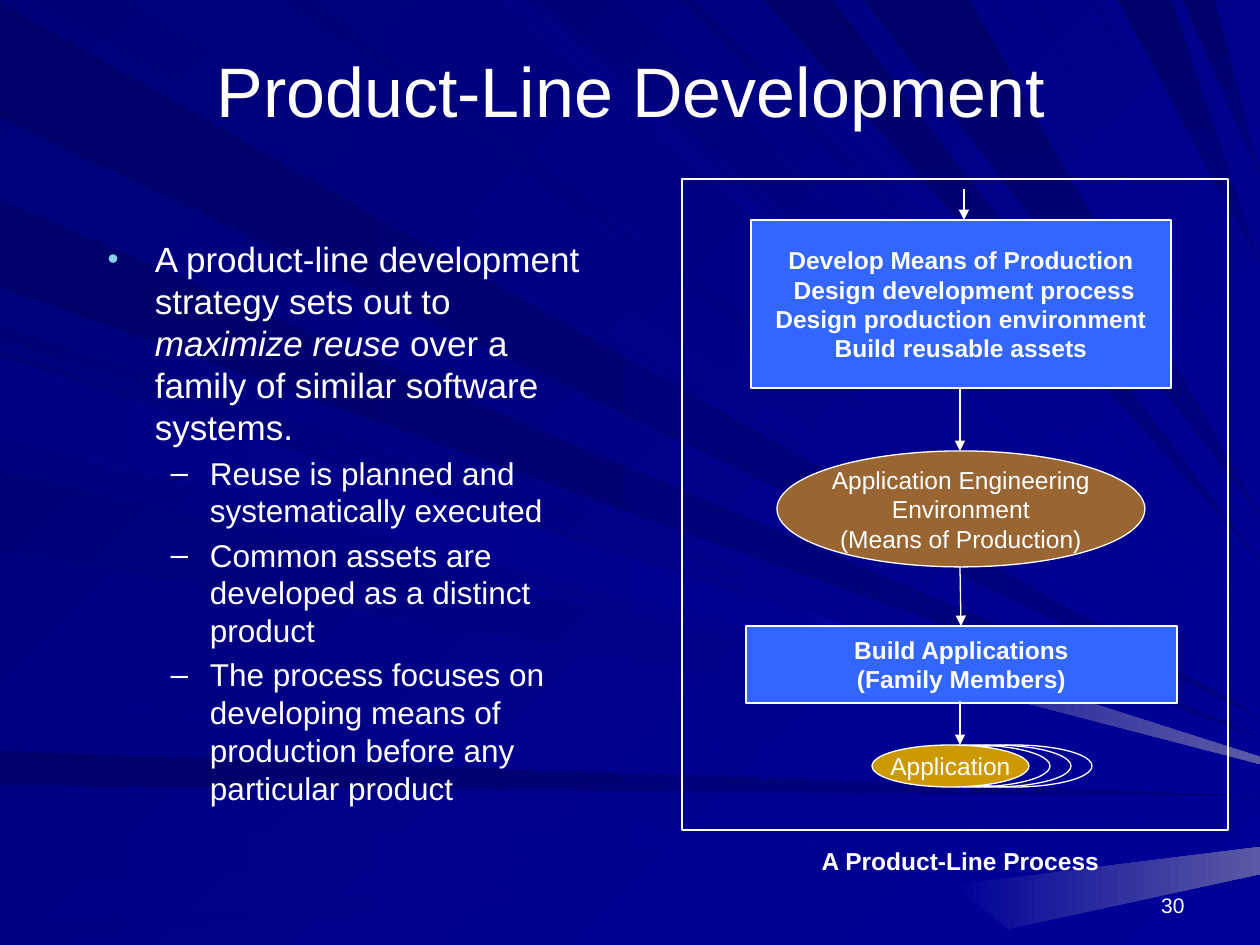
"""Builds the Product-Line Development slide."""
from lxml.etree import SubElement as Sub
from pptx import Presentation
from pptx.dml.color import RGBColor as Rgb
from pptx.enum.shapes import MSO_CONNECTOR as Link, MSO_SHAPE as Kind
from pptx.enum.text import MSO_ANCHOR as Anchor, MSO_AUTO_SIZE as Auto, PP_ALIGN as Align
from pptx.oxml.ns import qn
from pptx.util import Emu, Pt

PX = 914400 // 126
WIDE, HIGH = 1260, 945
THEME = dict(font="Arial", ink="FFFFFF", bullet="86D1EC", back=("000078", "000099", 45),
             step="3366FF", tool="996633", app="CC9900",
             deep="00006B", dark="000076", mid="000085", navy="000080", blue="000099",
             glow="5A5AA6", title=40, main=20, sub=18, label=14, page=12)

LEFT = [
    ("deep", "navy", 0, [(3, 117, 717), (751, 785, 796), (200, 287, 737)]),
    ("mid", "blue", 0, [(838, 887, 815), (926, 945, 834), (696, 706, 784)]),
    ("dark", "blue", 45, [(325, 340, 742), (350, 431, 755), (471, 551, 763)]),
    ("mid", "blue", 0, [(357, 437, 760)]),
]
TOP = [
    ("dark", "blue", 45, [(33, 127, 708), (284, 311, 692), (537, 620, 622), (680, 696, 583)]),
    ("mid", "blue", 45, [(501, 524, 652), (727, 741, 572), (989, 998, 450),
                         (1027, 1038, 423), (1090, 1099, 320)]),
    ("deep", "navy", 90, [(764, 833, 561), (864, 970, 515), (1118, 1172, 265),
                          (1183, 1215, 177)]),
]
GLOWS = [[(803, 611), (798, 644), (WIDE, 764), (WIDE, 757)],
         [(953, 885), (1008, 929), (WIDE, 874), (WIDE, 847)]]

TITLE = ("Product-Line Development", (95, 42, 1071, 95))
BODY = (95, 231, 525, 620)
POINTS = [
    (0, "main", [("A product-line development strategy sets out to ", False),
                 ("maximize reuse", True),
                 (" over a family of similar software systems.", False)]),
    (1, "sub", [("Reuse is planned and systematically executed", False)]),
    (1, "sub", [("Common assets are developed as a distinct product", False)]),
    (1, "sub", [("The process focuses on developing means of production "
                 "before any particular product", False)]),
]
NOTES = [
    ("30", (903, 861, 294, 63), "page", False, Align.RIGHT, Anchor.BOTTOM),
    ("A Product-Line Process", (798, 840, 325, 42), "label", True, Align.CENTER, Anchor.TOP),
]
APP, SHIFT = (872, 745, 157, 42), 21
STACK = [(Kind.OVAL, (APP[0] + SHIFT * n, *APP[1:]), None, 0.75, "", False) for n in (1, 2, 3)]
NODES = [
    (Kind.RECTANGLE, (682, 179, 546, 651), None, 1, "", False),
    (Kind.RECTANGLE, (746, 626, 431, 77), "step", 1,
     "Build Applications\v(Family Members)", True),
    (Kind.OVAL, (777, 451, 368, 116), "tool", 0.75,
     "Application Engineering\vEnvironment\v(Means of Production)", False),
    *STACK,
    (Kind.OVAL, APP, "app", 0.75, "Application", False),
    (Kind.RECTANGLE, (751, 220, 420, 168), "step", 1,
     "Develop Means of Production\n Design development process\n"
     " Design production environment \nBuild reusable assets", True),
]
ARROWS = [((960, 388), (960, 451), 1), ((960, 567), (961, 626), 0.75),
          ((960, 701), (960, 745), 0.75), ((964, 189), (964, 220), 1.5)]


def put(item, **vals):
    for name, val in vals.items():
        setattr(item, name, val)


def emu(nums):
    return [Emu(n * PX) for n in nums]


def place(item, box):
    put(item, **dict(zip(("left", "top", "width", "height"), emu(box))))


def paint(fill, first, last=None, turn=0):
    if not first:
        fill.background()
    elif last:
        fill.gradient()
        fill.gradient_angle = 360 - turn
        for stop, tint in zip(fill.gradient_stops, (first, last)):
            stop.color.rgb = Rgb.from_string(tint)
    else:
        fill.solid()
        fill.fore_color.rgb = Rgb.from_string(first)


def style(font, size, **vals):
    put(font, name=THEME["font"], size=Pt(THEME[size]), **vals)
    font.color.rgb = Rgb.from_string(THEME["ink"])


def write(frame, text, size, bold, align, anchor, wrap):
    put(frame, text=text, word_wrap=wrap, vertical_anchor=anchor, auto_size=Auto.NONE)
    for para in frame.paragraphs:
        para.alignment = align
        for run in para.runs:
            style(run.font, size, bold=bold)


def stroke(line, width):
    paint(line.fill, THEME["ink"])
    line.width = Pt(width)


def beam(dots, first, last, turn):
    start, *rest = [emu(dot) for dot in dots]
    pen = shapes.build_freeform(*start)
    pen.add_line_segments(rest)
    ray = pen.convert_to_shape()
    ray.shadow.inherit = False
    paint(ray.fill, THEME[first], THEME[last], turn)
    ray.line.fill.background()


deck = Presentation()
put(deck, slide_width=Emu(WIDE * PX), slide_height=Emu(HIGH * PX))
slide = deck.slides.add_slide(deck.slide_layouts[1])
shapes = slide.shapes
paint(slide.background.fill, *THEME["back"])

for rays, across in ((LEFT, False), (TOP, True)):
    for first, last, turn, spans in rays:
        for near, far, end in spans:
            base = [(n, 0) if across else (0, n) for n in (near, far)]
            beam([*base, (WIDE, end)], first, last, turn)
for dots in GLOWS:
    beam(dots, "blue", "glow", 0)

head, body = shapes.title, slide.placeholders[1]
for item, box in ((head, TITLE[1]), (body, BODY)):
    place(item, box)
    shapes.element.append(item.element)
write(head.text_frame, TITLE[0], "title", False, Align.CENTER, Anchor.MIDDLE, True)

frame = body.text_frame
put(frame, word_wrap=True, auto_size=Auto.NONE)
for n, (level, size, runs) in enumerate(POINTS):
    para = frame.add_paragraph() if n else frame.paragraphs[0]
    para.level = level
    for text, slant in runs:
        run = para.add_run()
        run.text = text
        style(run.font, size, italic=slant)
    if not level:
        props = para._p.get_or_add_pPr()
        Sub(Sub(props, qn("a:buClr")), qn("a:srgbClr"), val=THEME["bullet"])
        Sub(props, qn("a:buSzPct"), val="90000")

for text, box, size, bold, align, anchor in NOTES:
    note = shapes.add_textbox(*emu(box))
    write(note.text_frame, text, size, bold, align, anchor, True)

for kind, box, tint, width, text, bold in NODES:
    node = shapes.add_shape(kind, *emu(box))
    node.shadow.inherit = False
    paint(node.fill, THEME.get(tint))
    stroke(node.line, width)
    if text:
        write(node.text_frame, text, "label", bold, Align.CENTER, Anchor.MIDDLE, False)

for start, end, width in ARROWS:
    arrow = shapes.add_connector(Link.STRAIGHT, *emu(start + end))
    stroke(arrow.line, width)
    props = arrow.element.spPr
    Sub(props.find(qn("a:ln")), qn("a:tailEnd"), type="triangle")
    Sub(props, qn("a:effectLst"))

deck.save("out.pptx")
